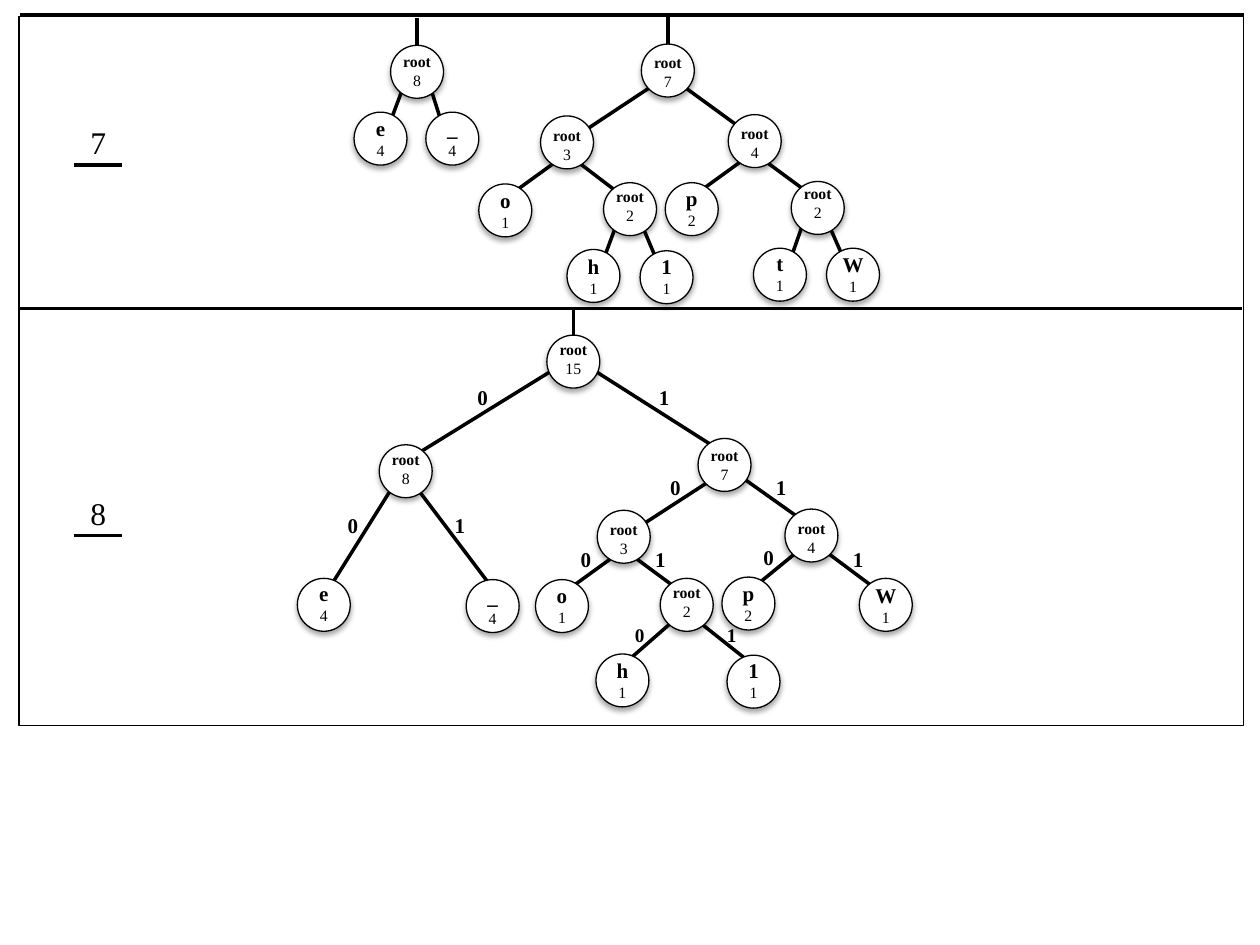
"""Build a slide showing steps 7 and 8 of a Huffman tree construction."""
from lxml import etree
from pptx import Presentation
from pptx.dml.color import RGBColor
from pptx.enum.shapes import MSO_CONNECTOR, MSO_SHAPE
from pptx.enum.text import PP_ALIGN
from pptx.oxml.ns import qn
from pptx.util import Inches, Pt

BLACK = RGBColor(0x00, 0x00, 0x00)
WHITE = RGBColor(0xFF, 0xFF, 0xFF)
STRAIGHT = MSO_CONNECTOR.STRAIGHT
RECTANGLE = MSO_SHAPE.RECTANGLE
OVAL = MSO_SHAPE.OVAL
CENTER = PP_ALIGN.CENTER
LEFT = PP_ALIGN.LEFT
FONT = "Times New Roman"
NODE_SIZE = 0.42

presentation = Presentation()
presentation.slide_width = Inches(10)
presentation.slide_height = Inches(7.5)
slide = presentation.slides.add_slide(presentation.slide_layouts[6])


def add_text(lines, left, top, width, height, align=CENTER, side_inset=0.1):
    """Add a text box with one paragraph per (text, size, bold) line."""
    box = slide.shapes.add_textbox(Inches(left), Inches(top), Inches(width), Inches(height))
    frame = box.text_frame
    frame.word_wrap = True
    frame.margin_left = frame.margin_right = Inches(side_inset)
    for index, (text, size, bold) in enumerate(lines):
        paragraph = frame.add_paragraph() if index else frame.paragraphs[0]
        paragraph.alignment = align
        run = paragraph.add_run()
        run.text = text
        run.font.name = FONT
        run.font.size = Pt(size)
        run.font.bold = bold
        run.font.color.rgb = BLACK


def add_line(start_x, start_y, end_x, end_y):
    """Add a plain black line between two points."""
    line = slide.shapes.add_connector(
        STRAIGHT, Inches(start_x), Inches(start_y), Inches(end_x), Inches(end_y))
    line.line.color.rgb = BLACK
    line.line.width = Pt(2)
    etree.SubElement(line._element.spPr, qn("a:effectLst"))


border = slide.shapes.add_shape(
    RECTANGLE, Inches(0.15), Inches(0.13), Inches(9.72), Inches(5.63))
border.shadow.inherit = False
border.fill.background()
border.line.color.rgb = BLACK
border.line.width = Pt(0.75)

row_lines = [(0.15, 2.45, 9.86, 2.45), (0.16, 0.12, 9.87, 0.12)]
step_7_edges = [
    (3.31, 0.55, 3.31, 0.14), (5.3, 0.54, 5.3, 0.13),
    (3.1, 0.96, 3.31, 0.4), (3.31, 0.36, 3.51, 0.99),
    (4.5, 1.13, 5.21, 0.66), (5.98, 1.09, 5.39, 0.66),
    (4.03, 1.56, 4.5, 1.22), (4.5, 1.22, 4.92, 1.54),
    (5.51, 1.55, 5.98, 1.21), (5.98, 1.21, 6.4, 1.52),
    (4.79, 2.06, 5, 1.49), (5, 1.56, 5.21, 2.06),
    (6.28, 2.04, 6.48, 1.47), (6.48, 1.56, 6.69, 2.04),
]
step_8_edges = [
    (4.55, 2.87, 4.55, 2.46),
    (3.25, 3.64, 4.48, 2.88), (5.77, 3.61, 4.7, 2.93),
    (2.6, 4.69, 3.2, 3.73), (3.2, 3.73, 3.94, 4.71),
    (4.95, 4.26, 5.66, 3.8), (6.44, 4.18, 5.89, 3.79),
    (4.48, 4.7, 4.95, 4.36), (4.95, 4.36, 5.37, 4.67),
    (5.96, 4.68, 6.4, 4.32), (6.49, 4.33, 7.16, 4.83),
    (4.85, 5.36, 5.49, 4.8), (5.49, 4.89, 6.07, 5.35),
]
for edge in row_lines + step_7_edges + step_8_edges:
    add_line(*edge)

step_7_nodes = [
    ("root", "8", 3.1, 0.36, 0.36), ("e", "4", 2.81, 0.89, 0.87),
    ("_", "4", 3.38, 0.89, 0.87), ("root", "7", 5.09, 0.35, 0.37),
    ("root", "3", 4.29, 0.92, 0.95), ("root", "4", 5.78, 0.91, 0.93),
    ("o", "1", 3.8, 1.46, 1.44), ("root", "2", 4.79, 1.45, 1.43),
    ("p", "2", 5.28, 1.45, 1.42), ("root", "2", 6.28, 1.44, 1.41),
    ("h", "1", 4.5, 1.98, 1.96), ("1", "1", 5.08, 1.99, 1.96),
    ("t", "1", 5.98, 1.97, 1.94), ("W", "1", 6.56, 1.97, 1.95),
]
step_8_nodes = [
    ("root", "15", 4.34, 2.66, 2.65), ("root", "8", 3.01, 3.53, 3.52),
    ("root", "7", 5.54, 3.48, 3.49), ("e", "4", 2.36, 4.59, 4.56),
    ("_", "4", 3.7, 4.6, 4.58), ("root", "3", 4.74, 4.05, 4.08),
    ("root", "4", 6.23, 4.04, 4.07), ("o", "1", 4.25, 4.6, 4.57),
    ("root", "2", 5.24, 4.59, 4.58), ("p", "2", 5.73, 4.58, 4.56),
    ("W", "1", 6.82, 4.59, 4.57), ("h", "1", 4.73, 5.19, 5.17),
    ("1", "1", 5.77, 5.2, 5.17),
]
for name, count, left, top, label_top in step_7_nodes + step_8_nodes:
    node = slide.shapes.add_shape(
        OVAL, Inches(left), Inches(top), Inches(NODE_SIZE), Inches(NODE_SIZE))
    node.fill.solid()
    node.fill.fore_color.rgb = WHITE
    node.line.color.rgb = BLACK
    node.line.width = Pt(0.75)
    node.shadow.inherit = False
    effects = node._element.spPr.find(qn("a:effectLst"))
    shadow = etree.SubElement(
        effects, qn("a:outerShdw"), blurRad=str(Pt(3.1)), dist=str(Pt(1.8)),
        dir="5400000", rotWithShape="0")
    shadow_color = etree.SubElement(shadow, qn("a:srgbClr"), val=str(BLACK))
    etree.SubElement(shadow_color, qn("a:alpha"), val="35000")
    is_root = name == "root"
    add_text([(name, 9 if is_root else 12, True), (count, 9, False)],
             left, label_top, NODE_SIZE, 0.4 if is_root else 0.45, side_inset=0)

for step, top in [("7", 0.93), ("8", 3.87)]:
    add_text([(step, 18, False)], 0.41, top, 0.74, 0.4)
    add_line(0.59, top + 0.38, 0.97, top + 0.38)

edge_bits = [
    ("0", 3.69, 3, 12), ("0", 2.66, 4.02, 12), ("0", 5.22, 3.72, 12),
    ("0", 5.96, 4.27, 12), ("0", 4.51, 4.29, 12), ("0", 4.94, 4.9, 11),
    ("1", 5.13, 3, 12), ("1", 6.06, 3.72, 12), ("1", 6.67, 4.29, 12),
    ("1", 3.51, 4.02, 12), ("1", 5.1, 4.29, 12), ("1", 5.67, 4.9, 11),
]
for bit, left, top, size in edge_bits:
    add_text([(bit, size, True)], left, top, 0.39, 0.3, align=LEFT)

presentation.save("out.pptx")
